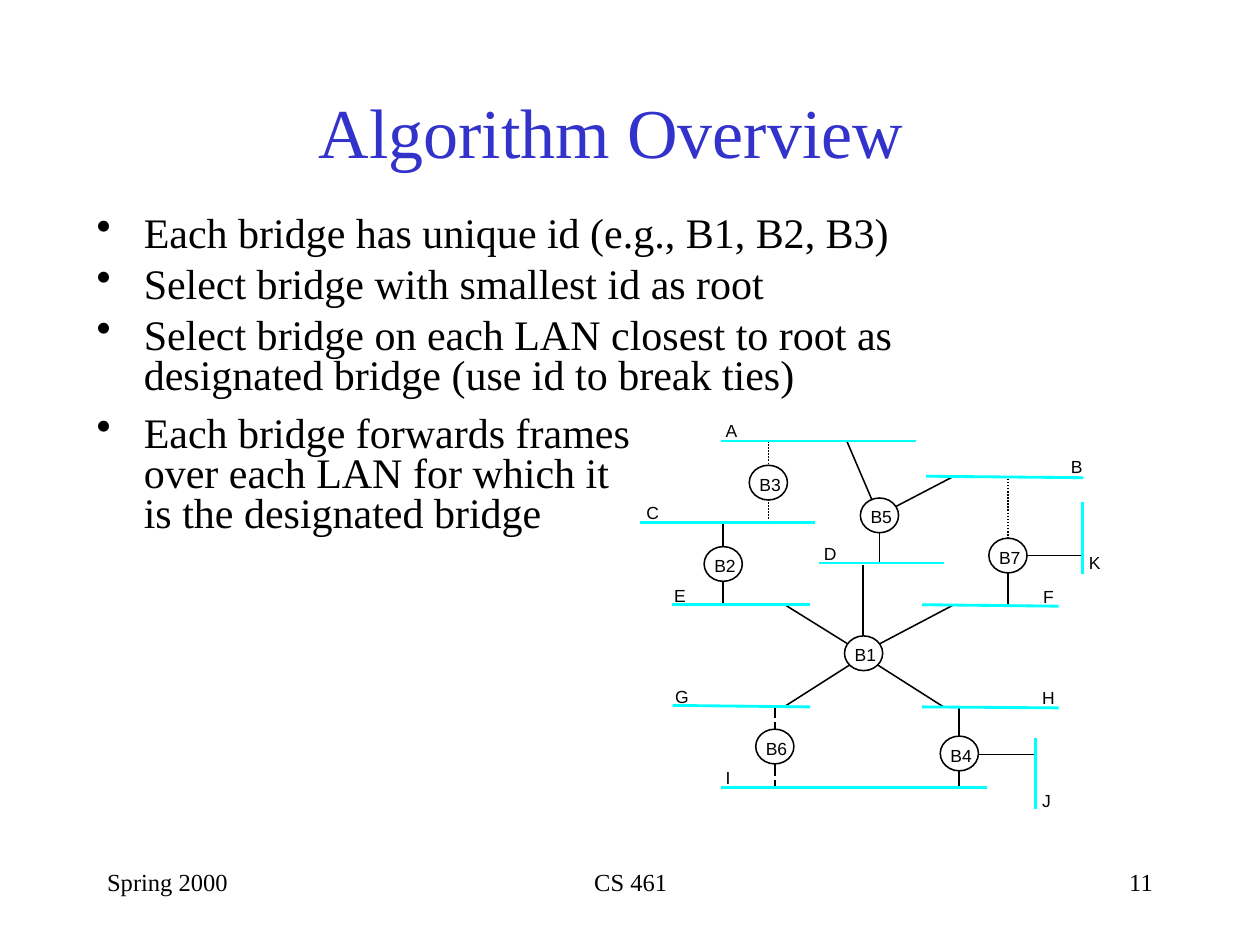
from lxml import etree
from pptx import Presentation
from pptx import util as u
from pptx.dml.color import RGBColor
from pptx.enum import dml, shapes, text
from pptx.oxml.ns import qn

SERIF, SANS = "Times New Roman", "Arial"
BLACK, BLUE, CYAN = "000000", "3333CC", "00FFFF"
DOTTED, DASHED = dml.MSO_LINE.ROUND_DOT, dml.MSO_LINE.LONG_DASH
LEFT, CENTER, RIGHT = text.PP_ALIGN.LEFT, text.PP_ALIGN.CENTER, text.PP_ALIGN.RIGHT


def color(hex_code):
    return RGBColor.from_string(hex_code)


class NetworkSlide:
    link_width, lan_width = u.Pt(0.88), u.Pt(1.62)
    bridge_width, bridge_height = 0.77, 0.7
    label_size = 0.43

    def __init__(self, slide):
        self.slide = slide

    def add_run(self, paragraph, words, font, size, hex_code):
        run = paragraph.add_run()
        run.text = words
        run.font.name, run.font.size = font, u.Pt(size)
        run.font.color.rgb = color(hex_code)

    def frame(self, left, top, width, height):
        box = self.slide.shapes.add_textbox(*map(u.Cm, (left, top, width, height)))
        box.text_frame.word_wrap = True
        return box.text_frame

    def heading(self, words, place, size, hex_code=BLACK, align=LEFT,
                anchor=text.MSO_ANCHOR.TOP):
        frame = self.frame(*place)
        frame.vertical_anchor = anchor
        paragraph = frame.paragraphs[0]
        paragraph.alignment = align
        self.add_run(paragraph, words, SERIF, size, hex_code)

    def bullets(self, points, place):
        frame = self.frame(*place)
        for i, point in enumerate(points):
            paragraph = frame.add_paragraph() if i else frame.paragraphs[0]
            paragraph.line_spacing = 0.8
            if i:
                paragraph.space_before = u.Pt(6)
            props = paragraph._p.get_or_add_pPr()
            indent = u.Cm(0.95)
            props.set("marL", str(indent))
            props.set("indent", str(-indent))
            etree.SubElement(props, qn("a:buChar")).set("char", "•")
            self.add_run(paragraph, point, SERIF, 24, BLACK)

    def label(self, words, left, top):
        frame = self.frame(left, top, self.label_size, self.label_size)
        frame.word_wrap = False
        frame.margin_left = frame.margin_right = 0
        frame.margin_top = frame.margin_bottom = 0
        self.add_run(frame.paragraphs[0], words, SANS, 10, BLACK)

    def line(self, ends, width, hex_code=BLACK, dash=None):
        connector = self.slide.shapes.add_connector(
            shapes.MSO_CONNECTOR.STRAIGHT, *map(u.Cm, ends))
        connector.line.color.rgb = color(hex_code)
        connector.line.width = width
        if dash:
            connector.line.dash_style = dash
        etree.SubElement(connector._element.spPr, qn("a:effectLst"))

    def lan(self, name, ends, label_at):
        self.line(ends, self.lan_width, CYAN)
        self.label(name, *label_at)

    def bridge(self, name, x, y):
        width, height = self.bridge_width, self.bridge_height
        ring = self.slide.shapes.add_shape(
            shapes.MSO_SHAPE.OVAL,
            *map(u.Cm, (x - width / 2, y - height / 2, width, height)))
        ring.shadow.inherit = False
        ring.fill.background()
        ring.line.color.rgb = color(BLACK)
        ring.line.width = self.link_width
        self.label(name, x - 0.18, y - 0.18)


# Bridge centres
BRIDGES = {
    "B1": (17.41, 13.17), "B2": (14.58, 11.37), "B3": (15.49, 9.73),
    "B4": (19.34, 15.19), "B5": (17.73, 10.39), "B6": (15.62, 15.05),
    "B7": (20.32, 11.2),
}

# LAN segments: ends, then label position
LANS = {
    "A": ((14.53, 8.89, 18.47, 8.89), (14.63, 8.46)),
    "B": ((18.67, 9.6, 21.84, 9.63), (21.59, 9.19)),
    "C": ((12.9, 10.54, 16.43, 10.54), (13.03, 10.13)),
    "D": ((16.51, 11.35, 19.02, 11.35), (16.61, 10.95)),
    "E": ((13.54, 12.19, 16.33, 12.19), (13.59, 11.79)),
    "F": ((18.59, 12.19, 21.34, 12.22), (21.03, 11.81)),
    "G": ((13.56, 14.22, 16.33, 14.25), (13.61, 13.82)),
    "H": ((18.59, 14.25, 21.34, 14.27), (21.01, 13.84)),
    "I": ((14.53, 15.88, 19.89, 15.88), (14.63, 15.47)),
    "J": ((20.88, 14.88, 20.88, 16.31), (21.01, 15.93)),
    "K": ((21.82, 10.11, 21.82, 11.58), (21.95, 11.13)),
}

# Links between bridges and LANs, by dash style
LINKS = {
    None: [
        (17.07, 8.89, 17.58, 10.08),   # A-B5
        (18.06, 10.21, 19.23, 9.6),    # B-B5
        (17.73, 10.74, 17.73, 11.33),  # D-B5
        (14.58, 10.54, 14.58, 11.02),  # C-B2
        (14.58, 11.71, 14.58, 12.19),  # E-B2
        (20.32, 11.56, 20.32, 12.19),  # F-B7
        (20.7, 11.2, 21.79, 11.2),     # K-B7
        (17.4, 12.83, 17.4, 11.38),    # D-B1
        (17.09, 12.98, 15.82, 12.19),  # E-B1
        (19.23, 12.19, 17.73, 12.98),  # F-B1
        (17.12, 13.41, 15.85, 14.22),  # G-B1
        (17.7, 13.41, 19.02, 14.25),   # H-B1
        (19.33, 14.27, 19.33, 14.83),  # H-B4
        (19.33, 15.52, 19.33, 15.88),  # I-B4
        (19.74, 15.21, 20.85, 15.21),  # J-B4
    ],
    DOTTED: [
        (15.49, 8.89, 15.49, 9.37),    # A-B3
        (15.49, 10.06, 15.49, 10.54),  # C-B3
        (20.32, 9.65, 20.32, 10.87),   # B-B7
    ],
    DASHED: [
        (15.62, 14.22, 15.62, 14.71),  # G-B6
        (15.62, 15.39, 15.62, 15.88),  # I-B6
    ],
}


def main():
    deck = Presentation()
    deck.slide_width, deck.slide_height = u.Cm(25.4), u.Cm(19.05)
    overview = NetworkSlide(deck.slides.add_slide(deck.slide_layouts[6]))

    # Title and points
    overview.heading("Algorithm Overview ", (1.7, 1.47, 21.59, 2.34), 40, BLUE,
                     CENTER, text.MSO_ANCHOR.MIDDLE)
    overview.bullets([
        "Each bridge has unique id (e.g., B1, B2, B3)",
        "Select bridge with smallest id as root",
        "Select bridge on each LAN closest to root as designated bridge "
        "(use id to break ties)",
    ], (1.7, 4.24, 19.89, 6.35))
    overview.bullets([
        "Each bridge forwards frames over each LAN for which it is the "
        "designated bridge",
    ], (1.7, 8.26, 11.43, 6.35))

    # Network diagram
    for dash, links in LINKS.items():
        for ends in links:
            overview.line(ends, overview.link_width, dash=dash)
    for name, centre in BRIDGES.items():
        overview.bridge(name, *centre)
    for name, (ends, label_at) in LANS.items():
        overview.lan(name, ends, label_at)

    # Footer
    overview.heading("Spring 2000", (1.91, 17.35, 5.28, 1.27), 14)
    overview.heading("CS 461", (8.69, 17.35, 8.05, 1.27), 14, align=CENTER)
    overview.heading("11", (18.21, 17.35, 5.28, 1.27), 14, align=RIGHT)

    deck.save("out.pptx")


if __name__ == "__main__":
    main()
